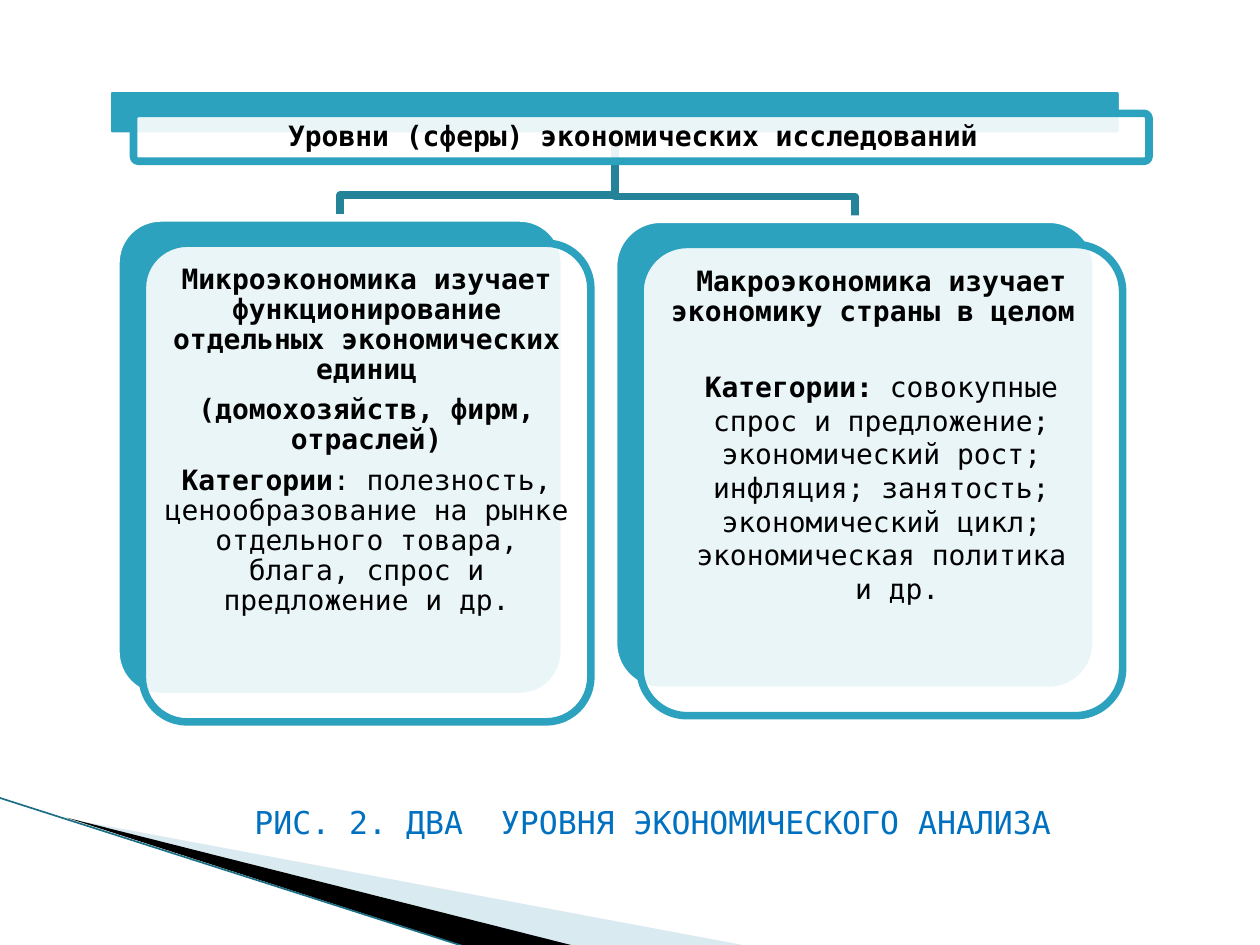
from lxml.etree import SubElement
from pptx import Presentation
from pptx.dml.color import RGBColor
from pptx.enum.shapes import MSO_CONNECTOR as Connector, MSO_SHAPE as Shape
from pptx.enum.text import MSO_ANCHOR as Anchor, PP_ALIGN as Align
from pptx.oxml.ns import qn
from pptx.util import Inches, Pt

COLORS = {
    "teal": "2DA2BF",
    "link": "248299",
    "white": "FFFFFF",
    "black": "000000",
    "caption": "0070C0",
    "pale": "A0CBDC",
    "edge": "1B6F85",
}
FONT = "DejaVu Sans Mono"
OFFSET_X, OFFSET_Y = 0.21, 0.2
CORNER = 0.1
BORDER = 4.33
TIGHT = {"line_spacing": 0.9, "space_after": Pt(5.6)}

HEADER = (0.85, 0.7, 8.06, 0.38)
MICRO = (0.92, 1.73, 3.56, 3.8)
MACRO = (4.87, 1.74, 3.83, 3.74)

HEADER_TEXT = [([("Уровни (сферы) экономических исследований ", True)], TIGHT)]
MICRO_TEXT = [
    ([("Микроэкономика изучает функционирование отдельных экономических единиц", True)], TIGHT),
    ([("(домохозяйств, фирм, отраслей)", True)], TIGHT),
    ([("Категории", True),
      (": полезность, ценообразование на рынке отдельного товара, блага, "
       "спрос и предложение и др.", False)], TIGHT),
]
MACRO_TEXT = [
    ([("Макроэкономика изучает экономику страны в целом ", True)], TIGHT),
    ([("Категории:", True),
      (" совокупные спрос и предложение; экономический рост; инфляция; занятость; "
       "экономический цикл; экономическая политика", False)], {"space_before": Pt(18.6)}),
    ([("и др.", False)], {"left_indent": 0.25}),
]


def rgb(name):
    return RGBColor.from_string(COLORS[name])


def paint(shape, fill=None, opacity=100, line=None):
    shape.shadow.inherit = False
    if fill:
        shape.fill.solid()
        shape.fill.fore_color.rgb = rgb(fill)
        if opacity < 100:
            color = shape.fill._xPr.find(qn("a:solidFill"))[0]
            SubElement(color, qn("a:alpha")).set("val", str(opacity * 1000))
    else:
        shape.fill.background()
    if line:
        shape.line.color.rgb = rgb(line)
        shape.line.width = Pt(BORDER)
    else:
        shape.line.fill.background()


def add_outline(slide, points, close, **style):
    start, *rest = [(Inches(x), Inches(y)) for x, y in points]
    builder = slide.shapes.build_freeform(*start, scale=1.0)
    builder.add_line_segments(rest, close=close)
    paint(builder.convert_to_shape(), **style)


def add_text(slide, area, paragraphs, size=16, color="black", anchor=Anchor.TOP, margin=0.07):
    frame = slide.shapes.add_textbox(*map(Inches, area)).text_frame
    frame.word_wrap = True
    frame.vertical_anchor = anchor
    for side in ("left", "top", "right", "bottom"):
        setattr(frame, f"margin_{side}", Inches(margin))
    for index, (spans, layout) in enumerate(paragraphs):
        para = frame.add_paragraph() if index else frame.paragraphs[0]
        para.alignment = Align.CENTER
        for name, value in layout.items():
            if name == "left_indent":
                para._p.get_or_add_pPr().set("marL", str(Inches(value)))
            else:
                setattr(para, name, value)
        for text, bold in spans:
            span = para.add_run()
            span.text = text
            for name, value in {"name": FONT, "size": Pt(size), "bold": bold}.items():
                setattr(span.font, name, value)
            span.font.color.rgb = rgb(color)


def add_card(slide, area, paragraphs, anchor=Anchor.TOP):
    """Teal back plate, shifted translucent front plate and its text."""
    left, top, width, height = area
    front = (left + OFFSET_X, top + OFFSET_Y, width, height)
    plates = (
        (area, {"fill": "teal", "line": "white"}),
        (front, {"fill": "white", "opacity": 90, "line": "teal"}),
    )
    for place, style in plates:
        plate = slide.shapes.add_shape(Shape.ROUNDED_RECTANGLE, *map(Inches, place))
        plate.adjustments[0] = CORNER
        paint(plate, **style)
    inset = 0.29 * CORNER * min(width, height)
    inner = (front[0] + inset, front[1] + inset, width - 2 * inset, height - 2 * inset)
    add_text(slide, inner, paragraphs, anchor=anchor)


def add_branch(slide, parent, child):
    """Elbow line from the bottom of one plate to the top of another."""
    start_x, start_y = parent[0] + parent[2] / 2, parent[1] + parent[3]
    end_x, end_y = child[0] + child[2] / 2, child[1]
    bend = end_y - 0.18
    points = [(start_x, start_y), (start_x, bend), (end_x, bend), (end_x, end_y)]
    add_outline(slide, points, close=False, line="link")


def add_corner_decoration(slide):
    add_outline(slide, [(0.55, 6.5), (5.95, 7.51), (4.56, 7.51)], True, fill="pale", opacity=40)
    add_outline(slide, [(0.53, 6.49), (4.57, 7.51), (3.72, 7.52)], True, fill="black")
    ends = map(Inches, (-0.01, 6.33, 3.71, 7.52))
    edge = slide.shapes.add_connector(Connector.STRAIGHT, *ends)
    edge.line.color.rgb = rgb("edge")
    edge.line.width = Pt(0.95)
    SubElement(edge._element.spPr, qn("a:effectLst"))


def main():
    deck = Presentation()
    deck.slide_width, deck.slide_height = Inches(10), Inches(7.5)
    slide = deck.slides.add_slide(deck.slide_layouts[6])
    add_corner_decoration(slide)
    caption = [([("РИС. 2. ДВА  УРОВНЯ ЭКОНОМИЧЕСКОГО АНАЛИЗА ", False)], {})]
    add_text(slide, (0.78, 6.25, 8.95, 0.55), caption, 18, "caption", Anchor.MIDDLE)
    for child in (MACRO, MICRO):
        add_branch(slide, HEADER, child)
    add_card(slide, HEADER, HEADER_TEXT, Anchor.MIDDLE)
    add_card(slide, MICRO, MICRO_TEXT)
    add_card(slide, MACRO, MACRO_TEXT)
    deck.save("out.pptx")


if __name__ == "__main__":
    main()
